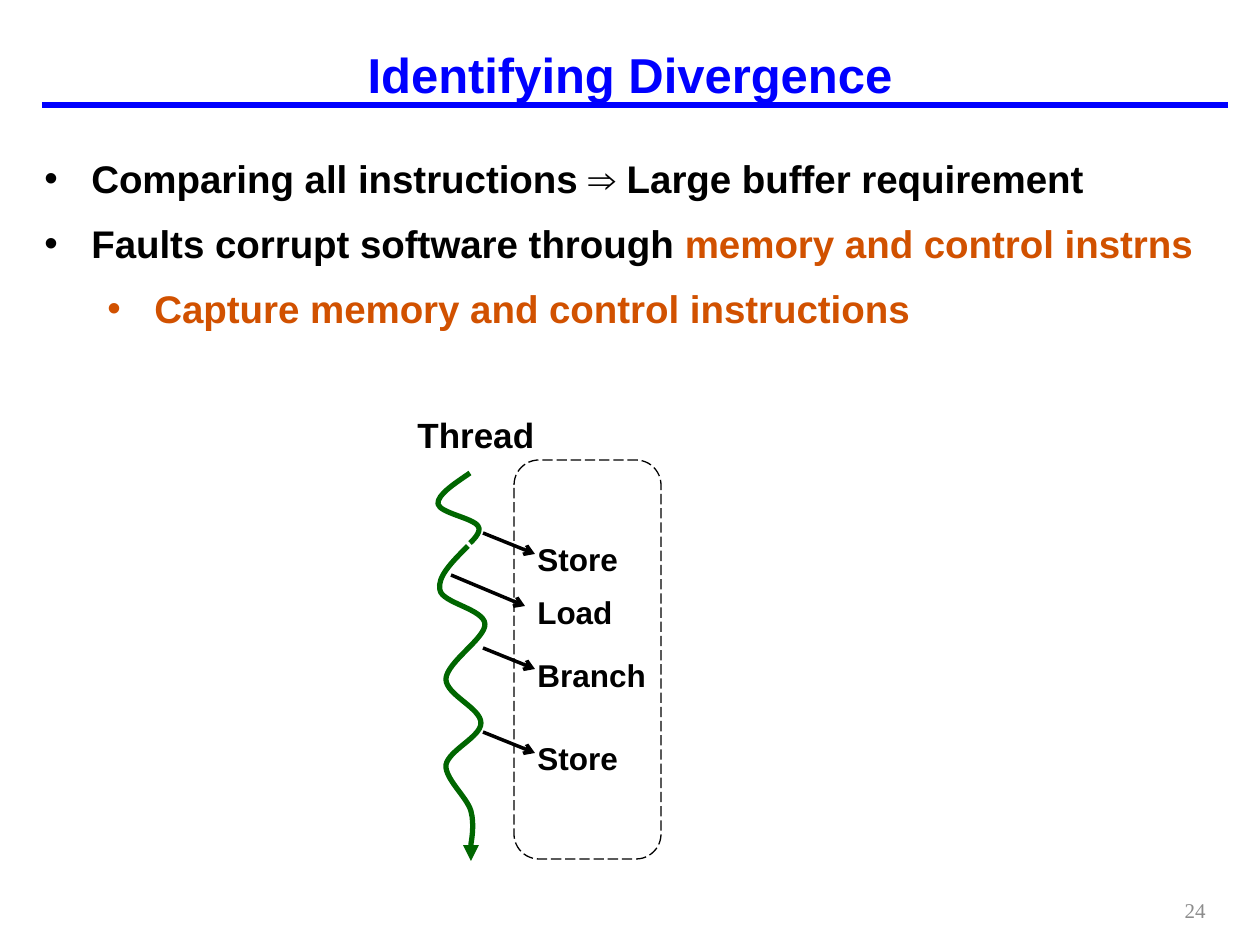
from typing import NamedTuple

import pptx
import pptx.dml.color
import pptx.enum.dml
import pptx.enum.shapes
import pptx.enum.text
import pptx.oxml
import pptx.oxml.ns
import pptx.util

EMU_PER_PX = 914400 / 126
BLUE, BLACK, ORANGE, GREEN, GREY = "0000FF", "000000", "D15100", "006600", "8C8C8C"
ALIGN = pptx.enum.text.PP_ALIGN
ANCHOR = pptx.enum.text.MSO_ANCHOR


class Bullet(NamedTuple):
    runs: list[tuple[str, str]]
    level: int = 0


class Instruction(NamedTuple):
    name: str
    top: int
    arrow: tuple[int, int, int, int]


class Curve(NamedTuple):
    """Cubic segments: a start point, then three points for each segment."""
    points: list[tuple[int, int]]
    arrowhead: bool = False


BULLETS = [
    Bullet([("Comparing all instructions ⇒ Large buffer requirement", BLACK)]),
    Bullet([("Faults corrupt software through ", BLACK),
            ("memory and control instrns", ORANGE)]),
    Bullet([("Capture memory and control instructions", ORANGE)], level=1),
]
INSTRUCTIONS = [
    Instruction("Store", 534, (483, 533, 535, 554)),
    Instruction("Load", 587, (451, 575, 525, 606)),
    Instruction("Branch", 650, (483, 648, 535, 669)),
    Instruction("Store", 733, (483, 732, 535, 753)),
]
LABEL_WIDTHS = {"Store": 107, "Load": 102, "Branch": 135}
THREAD_CURVES = [
    Curve([(468, 546), (452, 562), (437, 577), (440, 590),
           (442, 603), (484, 609), (485, 624), (486, 638), (447, 662), (446, 679),
           (446, 695), (481, 708), (481, 723), (481, 737), (449, 750), (446, 765),
           (445, 779), (467, 797), (471, 811), (475, 825), (471, 844), (471, 844),
           (471, 850), (471, 855), (471, 861)], arrowhead=True),
    Curve([(470, 473), (454, 484), (437, 495), (438, 504),
           (440, 513), (473, 518), (478, 526), (483, 532), (470, 543), (470, 543)]),
]


def px(value: int) -> int:
    return round(value * EMU_PER_PX)


def color(value: str):
    return pptx.dml.color.RGBColor.from_string(value)


def add_element(parent, tag: str, **attributes: str):
    element = pptx.oxml.parse_xml(f"<{tag} {pptx.oxml.ns.nsdecls('a')}/>")
    for name, value in attributes.items():
        element.set(name, value)
    parent.append(element)
    return element


def set_line(shape, line_color: str, width: float, arrowhead: str = "") -> None:
    shape.line.color.rgb = color(line_color)
    shape.line.width = pptx.util.Pt(width)
    if arrowhead:
        add_element(shape.line._get_or_add_ln(), "a:tailEnd", type=arrowhead)


def add_run(paragraph, text: str, *, size: int, text_color: str = BLACK,
            font: str = "Arial", bold: bool = True) -> None:
    run = paragraph.add_run()
    run.text = text
    run.font.size = pptx.util.Pt(size)
    run.font.name = font
    run.font.bold = bold
    run.font.color.rgb = color(text_color)


def add_frame(slide, left: int, top: int, width: int, height: int, *,
              anchor=ANCHOR.TOP, wrap: bool = True):
    box = slide.shapes.add_textbox(px(left), px(top), px(width), px(height))
    frame = box.text_frame
    frame.word_wrap = wrap
    frame.vertical_anchor = anchor
    if not wrap:
        frame.auto_size = pptx.enum.text.MSO_AUTO_SIZE.SHAPE_TO_FIT_TEXT
    return frame


def add_text(slide, text: str, left: int, top: int, width: int, height: int, *,
             align=ALIGN.LEFT, anchor=ANCHOR.TOP, wrap: bool = True, **run_format) -> None:
    frame = add_frame(slide, left, top, width, height, anchor=anchor, wrap=wrap)
    paragraph = frame.paragraphs[0]
    paragraph.alignment = align
    add_run(paragraph, text, **run_format)


def add_bullets(slide, bullets: list[Bullet]) -> None:
    frame = add_frame(slide, 32, 140, 1187, 262)
    for index, bullet in enumerate(bullets):
        paragraph = frame.add_paragraph() if index else frame.paragraphs[0]
        paragraph.level = bullet.level
        properties = paragraph._p.get_or_add_pPr()
        properties.set("marL", str(px(47 + 63 * bullet.level)))
        properties.set("indent", str(px(-47)))
        add_element(properties, "a:buFont", typeface="Arial")
        add_element(properties, "a:buChar", char="•")
        paragraph.line_spacing = 1.2
        if index:
            paragraph.space_before = pptx.util.Pt(5.5)
        for text, text_color in bullet.runs:
            add_run(paragraph, text, size=22, text_color=text_color)


def add_line(slide, ends: tuple[int, int, int, int], line_color: str, width: float,
             arrowhead: str = "") -> None:
    connector = slide.shapes.add_connector(
        pptx.enum.shapes.MSO_CONNECTOR.STRAIGHT, *map(px, ends))
    set_line(connector, line_color, width, arrowhead)
    add_element(connector._element.spPr, "a:effectLst")


def add_curve(slide, curve: Curve) -> None:
    """Build an outline through all points, then turn each three into a cubic."""
    start, *rest = curve.points
    builder = slide.shapes.build_freeform(*start, scale=EMU_PER_PX)
    builder.add_line_segments(rest, close=False)
    shape = builder.convert_to_shape()
    outline = shape._element.xpath(".//a:path")[0]
    segments = outline.xpath("a:lnTo")
    for first in range(0, len(segments), 3):
        cubic = add_element(outline, "a:cubicBezTo")
        for segment in segments[first:first + 3]:
            cubic.append(segment[0])
            outline.remove(segment)
    shape.shadow.inherit = False
    shape.fill.background()
    set_line(shape, GREEN, 3, "triangle" if curve.arrowhead else "")


def add_buffer(slide) -> None:
    shape = slide.shapes.add_shape(pptx.enum.shapes.MSO_SHAPE.ROUNDED_RECTANGLE,
                                   *map(px, (514, 460, 147, 399)))
    shape.adjustments[0] = 0.17
    shape.shadow.inherit = False
    shape.fill.background()
    set_line(shape, BLACK, 0.75)
    shape.line.dash_style = pptx.enum.dml.MSO_LINE.LONG_DASH


def main() -> None:
    presentation = pptx.Presentation()
    presentation.slide_width = px(1260)
    presentation.slide_height = px(945)
    slide = presentation.slides.add_slide(presentation.slide_layouts[6])

    add_line(slide, (42, 105, 1228, 105), BLUE, 3)
    add_text(slide, "Identifying Divergence", 0, 21, 1260, 105, align=ALIGN.CENTER,
             anchor=ANCHOR.MIDDLE, size=28, text_color=BLUE)
    add_text(slide, "24", 924, 885, 294, 50, align=ALIGN.RIGHT, anchor=ANCHOR.MIDDLE,
             size=12, text_color=GREY, font="Times New Roman", bold=False)
    for curve in THREAD_CURVES:
        add_curve(slide, curve)
    add_text(slide, "Thread", 405, 407, 144, 55, wrap=False, size=20)
    add_bullets(slide, BULLETS)

    add_buffer(slide)
    for instruction in INSTRUCTIONS:
        add_line(slide, instruction.arrow, BLACK, 2, "arrow")
        add_text(slide, instruction.name, 525, instruction.top,
                 LABEL_WIDTHS[instruction.name], 50, wrap=False, size=18)
    presentation.save("out.pptx")


if __name__ == "__main__":
    main()
